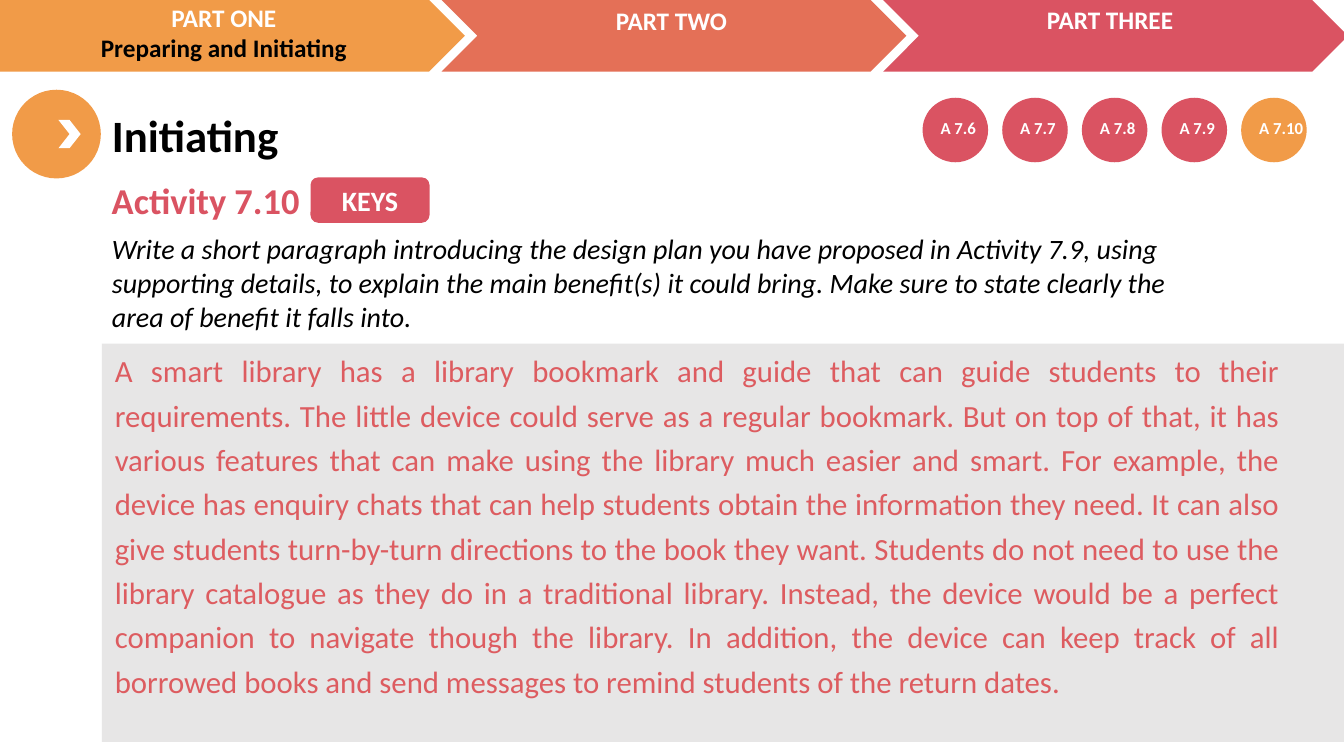
from pptx import Presentation
from pptx.dml.color import RGBColor
from pptx.enum.shapes import MSO_SHAPE
from pptx.enum.text import MSO_ANCHOR, MSO_AUTO_SIZE, PP_ALIGN
from pptx.oxml.ns import qn
from pptx.util import Inches, Pt

CHEVRON = MSO_SHAPE.CHEVRON
ELLIPSE = MSO_SHAPE.OVAL
RECTANGLE = MSO_SHAPE.RECTANGLE
ROUNDED = MSO_SHAPE.ROUNDED_RECTANGLE
LEFT, CENTER, JUSTIFY = PP_ALIGN.LEFT, PP_ALIGN.CENTER, PP_ALIGN.JUSTIFY
TOP, MIDDLE = MSO_ANCHOR.TOP, MSO_ANCHOR.MIDDLE
NO_AUTOFIT = MSO_AUTO_SIZE.NONE

ORANGE, CORAL, RED = "F19B48", "E47057", "DA5362"
ANSWER_RED, GREY = "DD5C60", "E7E6E6"
WHITE, BLACK = "FFFFFF", "000000"

INSTRUCTION = (
    "Write a short paragraph introducing the design plan you have proposed in "
    "Activity 7.9, using supporting details, to explain the main benefit(s) it "
    "could bring. Make sure to state clearly the area of benefit it falls into."
)
ANSWER = (
    "A smart library has a library bookmark and guide that can guide students to "
    "their requirements. The little device could serve as a regular bookmark. But "
    "on top of that, it has various features that can make using the library much "
    "easier and smart. For example, the device has enquiry chats that can help "
    "students obtain the information they need. It can also give students "
    "turn-by-turn directions to the book they want. Students do not need to use "
    "the library catalogue as they do in a traditional library. Instead, the "
    "device would be a perfect companion to navigate though the library. In "
    "addition, the device can keep track of all borrowed books and send messages "
    "to remind students of the return dates."
)


def color(value):
    return RGBColor.from_string(value)


class LessonPage:
    """Draws elements on one slide in the lesson's style."""

    font = "Calibri"

    def __init__(self, page):
        self.page = page

    def shape(self, kind, left, top, width, height, fill, parent=None):
        parent = parent or self.page
        shape = parent.shapes.add_shape(
            kind, Inches(left), Inches(top), Inches(width), Inches(height))
        shape.shadow.inherit = False
        shape.fill.solid()
        shape.fill.fore_color.rgb = color(fill)
        shape.line.fill.background()
        return shape

    def fill_text(self, box, lines, size, align=LEFT, anchor=TOP, bold=False,
                  italic=False, spacing=1.0):
        """Fill a box with one paragraph for each (text, colour) line."""
        frame = box.text_frame
        frame.word_wrap = True
        frame.auto_size = NO_AUTOFIT
        frame.vertical_anchor = anchor
        for index, (text, ink) in enumerate(lines):
            para = frame.add_paragraph() if index else frame.paragraphs[0]
            para.alignment = align
            para.line_spacing = spacing
            para.space_before = Pt(0)
            span = para.add_run()
            span.text = text
            span.font.name = self.font
            span.font.size = Pt(size)
            span.font.bold = bold
            span.font.italic = italic
            span.font.color.rgb = color(ink)

    def text(self, left, top, width, height, lines, size, parent=None, **style):
        parent = parent or self.page
        box = parent.shapes.add_textbox(
            Inches(left), Inches(top), Inches(width), Inches(height))
        self.fill_text(box, lines, size, **style)

    def placeholder(self, index, left, top, width, height, lines, size, **style):
        box = self.page.placeholders[index]
        box.left, box.top = Inches(left), Inches(top)
        box.width, box.height = Inches(width), Inches(height)
        self.fill_text(box, lines, size, **style)
        return box

    def unbulleted(self, box):
        for para in box.text_frame.paragraphs:
            properties = para._p.get_or_add_pPr()
            properties.set("marL", "0")
            properties.set("indent", "0")
            properties.append(properties.makeelement(qn("a:buNone"), {}))

    def badge(self, left, label, fill):
        group = self.page.shapes.add_group_shape()
        self.shape(ELLIPSE, left, 0.97, 0.65, 0.64, fill, group)
        self.text(left + 0.08, 1.12, 0.79, 0.3, [(label, WHITE)], 12,
                  parent=group, bold=True)


def main():
    deck = Presentation()
    deck.slide_width, deck.slide_height = Inches(13.33), Inches(7.5)
    lesson = LessonPage(deck.slides.add_slide(deck.slide_layouts[1]))

    lesson.placeholder(0, 1.01, 1.02, 4.85, 0.64, [("Initiating", BLACK)], 32,
                       bold=True)
    instruction = lesson.placeholder(1, 1.01, 2.25, 10.77, 1.11,
                                     [(INSTRUCTION, BLACK)], 20, italic=True)
    lesson.unbulleted(instruction)

    lesson.shape(ELLIPSE, 0.12, 0.89, 0.88, 0.88, ORANGE)
    lesson.shape(CHEVRON, 0.58, 1.19, 0.22, 0.28, WHITE)

    parts = [
        (-0.61, 5.22, ORANGE, -0.06, -0.03,
         [("PART ONE", WHITE), ("Preparing and Initiating", BLACK)]),
        (4.38, 4.61, CORAL, 4.38, 0, [("PART TWO", WHITE)]),
        (8.76, 4.61, RED, 8.73, -0.01, [("PART THREE", WHITE)]),
    ]
    for left, width, fill, text_left, text_top, lines in parts:
        lesson.shape(CHEVRON, left, 0, width, 0.71, fill)
        lesson.text(text_left, text_top, 4.56, 0.71, lines, 18,
                    align=CENTER, bold=True)

    for index, number in enumerate(range(6, 11)):
        fill = ORANGE if number == 10 else RED
        lesson.badge(9.15 + 0.79 * index, f"A 7.{number}", fill)

    lesson.text(1.01, 1.72, 11.91, 0.54, [("Activity 7.10", RED)], 26, bold=True)
    keys = lesson.shape(ROUNDED, 3.08, 1.76, 1.18, 0.45, RED)
    lesson.fill_text(keys, [("KEYS", WHITE)], 20, align=CENTER, anchor=MIDDLE,
                     bold=True)

    lesson.shape(RECTANGLE, 1.01, 3.41, 12.32, 3.95, GREY)
    lesson.text(1.04, 3.37, 11.75, 3.63, [(ANSWER, ANSWER_RED)], 22,
                align=JUSTIFY, spacing=1.2)

    deck.save("out.pptx")


if __name__ == "__main__":
    main()
